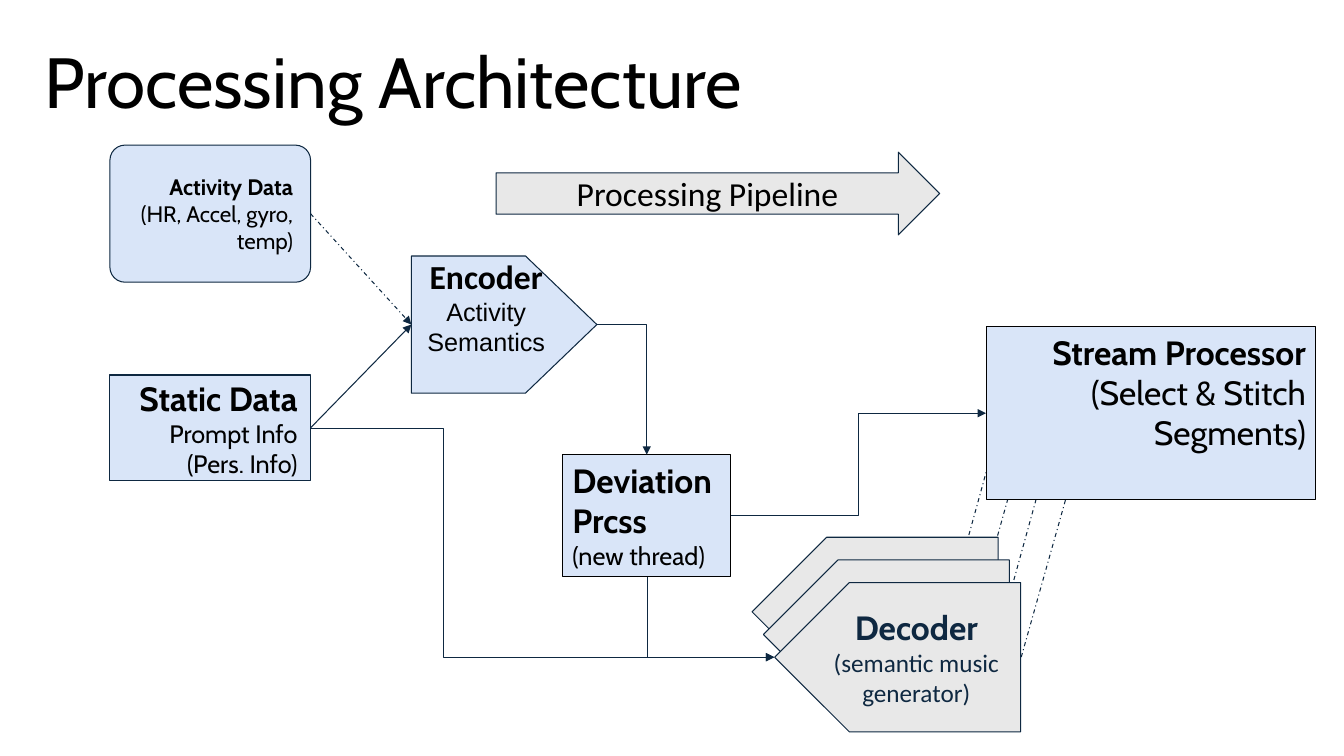
from pptx import Presentation
from pptx.dml.color import RGBColor
from pptx.enum.dml import MSO_LINE
from pptx.enum.shapes import MSO_CONNECTOR, MSO_SHAPE
from pptx.enum.text import MSO_ANCHOR, MSO_AUTO_SIZE, PP_ALIGN
from pptx.oxml.ns import qn
from pptx.util import Inches, Pt
from lxml import etree

RECT, ROUND = MSO_SHAPE.RECTANGLE, MSO_SHAPE.ROUNDED_RECTANGLE
PLATE, ARROW = MSO_SHAPE.PENTAGON, MSO_SHAPE.RIGHT_ARROW
LINE, ELBOW = MSO_CONNECTOR.STRAIGHT, MSO_CONNECTOR.ELBOW
DASH = MSO_LINE.DASH_DOT
TOP, MID = MSO_ANCHOR.TOP, MSO_ANCHOR.MIDDLE
LEFT, CENTER, RIGHT = PP_ALIGN.LEFT, PP_ALIGN.CENTER, PP_ALIGN.RIGHT
UP_SIDE, LEFT_SIDE, RIGHT_SIDE = 0, 1, 3

THEME = {
    "blue": RGBColor(0xD9, 0xE5, 0xF8),
    "gray": RGBColor(0xE8, 0xE8, 0xE8),
    "navy": RGBColor(0x0E, 0x28, 0x41),
    "black": RGBColor(0, 0, 0),
    "title": 50.7, "head": 24, "note": 18, "small": 16, "line": 0.75,
    "main": "Cabin", "alt": "Calibri", "plain": "Arial",
}
CELL = Inches(0.1)
WIDE = (0.13, 0.13, 0.13, 0.13)
SLIM = (0.1, 0.05, 0.1, 0.05)
SNUG = (0.13, 0, 0.13, 0)

deck = Presentation()
deck.slide_width, deck.slide_height = Inches(13.33), Inches(7.5)
slide = deck.slides.add_slide(deck.slide_layouts[5])


def write(shape, rows, align, anchor, pads, ink):
    frame = shape.text_frame
    frame.word_wrap = True
    frame.auto_size = MSO_AUTO_SIZE.NONE
    frame.vertical_anchor = anchor
    (frame.margin_left, frame.margin_top,
     frame.margin_right, frame.margin_bottom) = [Inches(pad) for pad in pads]
    for spot, (text, size, font, bold) in enumerate(rows):
        para = frame.add_paragraph() if spot else frame.paragraphs[0]
        para.text = text
        para.alignment = align
        for run in para.runs:
            run.font.name, run.font.size = THEME[font], Pt(THEME[size])
            run.font.bold = bold
            run.font.color.rgb = THEME[ink]


def join(kind, start, end, dash=None, tip="tailEnd"):
    link = slide.shapes.add_connector(
        kind, *[round(CELL * n) for n in (*start, *end)])
    link.line.color.rgb = THEME["navy"]
    link.line.width = Pt(THEME["line"])
    if dash:
        link.line.dash_style = dash
    mark = etree.SubElement(link.line._get_or_add_ln(), qn("a:" + tip))
    mark.set("type", "triangle")
    etree.SubElement(link._element.spPr, qn("a:effectLst"))
    return link


title = slide.shapes.title
title.left, title.top, title.width, title.height = [
    round(CELL * n) for n in (3.4, 3.7, 93.2, 9.6)]
write(title, [("Processing Architecture", "title", "main", False)],
      LEFT, MID, SLIM, "black")
title.text_frame.paragraphs[0].line_spacing = 0.9

STEP = 2.23
for turn, end in enumerate([(99.5, 40.7), (101.8, 42.9), (105.7, 38.9), (107.2, 44.2)]):
    join(LINE, (94.6 + turn * STEP, 58.5 + turn * STEP), end, DASH)

BOXES = [
    ("pipe", ARROW, (49.2, 15.1, 44, 8.2), "gray", "navy", None, CENTER, MID, WIDE, "black",
     [("Processing Pipeline", "head", "alt", False)]),
    ("static", RECT, (10.9, 37.2, 19.9, 10.5), "blue", "navy", None, RIGHT, MID, WIDE, "black",
     [("Static Data", "head", "main", True),
      ("Prompt Info\v(Pers. Info)", "note", "main", False)]),
    ("encoder", PLATE, (40.8, 25.4, 18.4, 13.6), "blue", "navy", 0.52, CENTER, TOP, SNUG, "black",
     [("Encoder", "head", "alt", True),
      ("Activity Semantics", "note", "plain", False)]),
    ("stream", RECT, (97.8, 32.4, 32.7, 17.2), "blue", "black", None, RIGHT, TOP, SLIM, "black",
     [("Stream Processor", "head", "main", True),
      ("(Select & Stitch Segments)", "head", "main", False)]),
    ("activity", ROUND, (10.9, 14.4, 19.9, 13.6), "blue", "navy", 0.11, RIGHT, MID, WIDE, "black",
     [("Activity Data", "small", "main", True),
      ("(HR, Accel, gyro, temp)", "small", "main", False)]),
    ("thread", RECT, (55.8, 45.1, 16.7, 12.1), "blue", "black", None, LEFT, TOP, SLIM, "black",
     [("Deviation Prcss", "head", "main", True),
      ("(new thread)", "note", "main", False)]),
]
DECODER = [("Decoder", "head", "main", True),
           ("(semantic music generator)", "note", "alt", False)]
for turn in range(3):
    place = (74.6 + turn * 1.12, 53.3 + turn * 2.25, 24.4, 14.8)
    BOXES.append(("decoder", PLATE, place, "gray", "navy", 0.5, CENTER, MID, WIDE, "navy",
                  DECODER if turn == 2 else []))

parts = {}
for name, kind, place, fill, edge, bend, align, anchor, pads, ink, rows in BOXES:
    box = slide.shapes.add_shape(kind, *[round(CELL * n) for n in place])
    box.shadow.inherit = False
    box.fill.solid()
    box.fill.fore_color.rgb = THEME[fill]
    box.line.color.rgb = THEME[edge]
    box.line.width = Pt(THEME["line"])
    if bend:
        box.adjustments[0] = bend
    if name == "decoder":
        box._element.spPr.xfrm.set("flipH", "1")
    write(box, rows, align, anchor, pads, ink)
    parts[name] = box

for name, start, dash in [("static", (30.8, 42.5), None), ("activity", (30.8, 21.2), DASH)]:
    feed = join(LINE, start, (40.8, 32.1), dash)
    feed.begin_connect(parts[name], RIGHT_SIDE)
    feed.end_connect(parts["encoder"], LEFT_SIDE)

stitch = join(ELBOW, (72.5, 51.1), (97.8, 41))
stitch.begin_connect(parts["thread"], RIGHT_SIDE)
stitch.end_connect(parts["stream"], LEFT_SIDE)

check = join(ELBOW, (59.2, 32.1), (64.2, 45.1))
call = join(ELBOW, (76.8, 65.2), (64.2, 57.2), tip="headEnd")
for link in (check, call):
    link._element.spPr.find(qn("a:prstGeom")).set("prst", "bentConnector2")
check.begin_connect(parts["encoder"], RIGHT_SIDE)
check.end_connect(parts["thread"], UP_SIDE)

prompt = join(ELBOW, (30.8, 42.5), (76.8, 65.2))
shape = prompt._element.spPr.find(qn("a:prstGeom"))
guides = shape.find(qn("a:avLst"))
if guides is None:
    guides = etree.SubElement(shape, qn("a:avLst"))
guide = etree.SubElement(guides, qn("a:gd"))
guide.set("name", "adj1")
guide.set("fmla", "val 28700")

deck.save("out.pptx")
